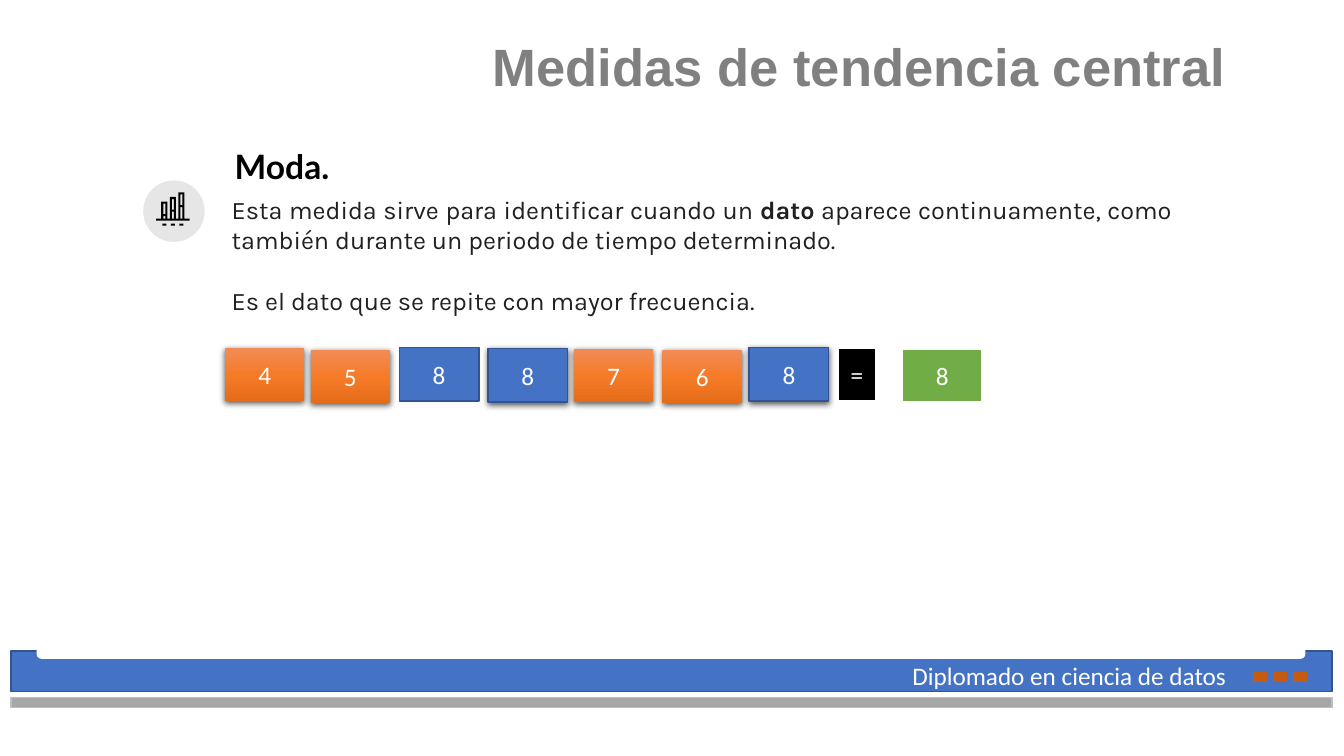
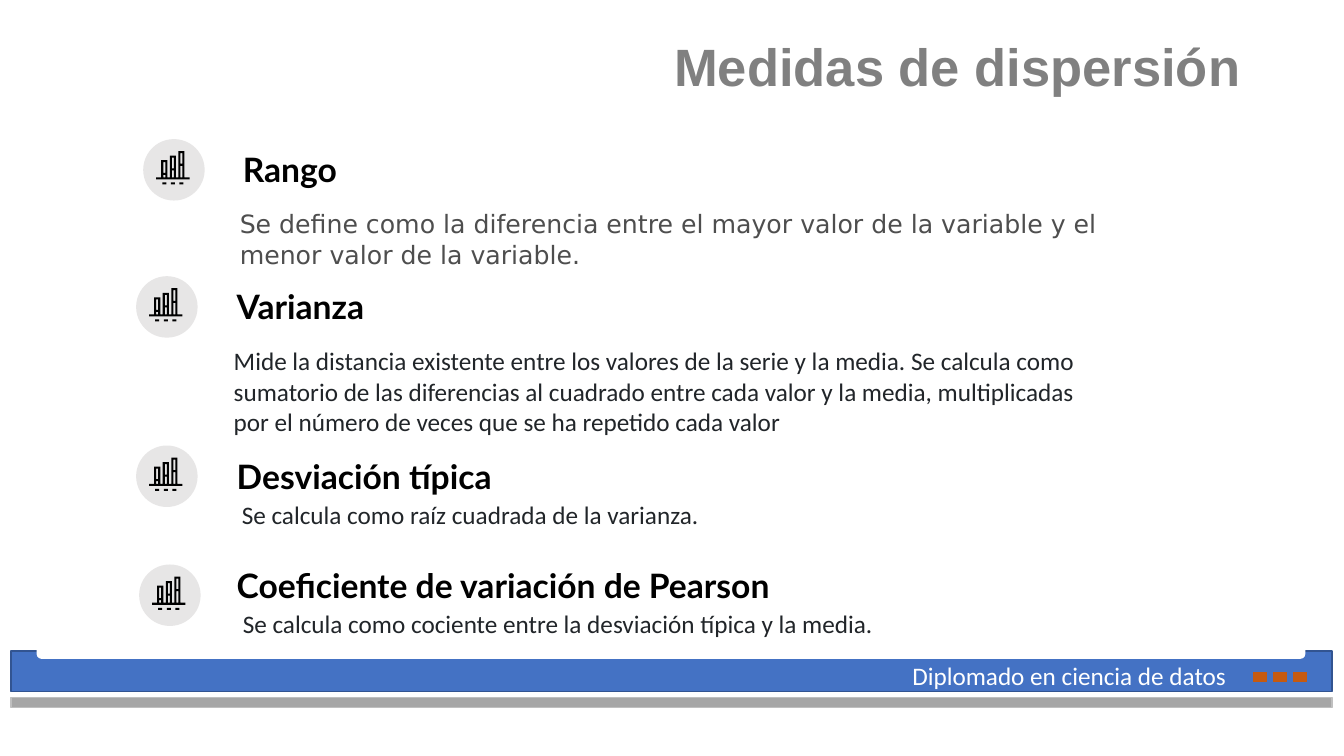
from copy import deepcopy

from pptx import Presentation, util as u
from pptx.dml.color import RGBColor
from pptx.enum import shapes as sh, text as tx
from pptx.oxml import parse_xml
from pptx.oxml.ns import nsdecls, qn

HUES = {
    "white": "FFFFFF", "black": "000000", "title": "808080",
    "blue": "4472C4", "navy": "325491", "green": "70AD47",
    "rust": "C55A11", "gray": "A6A6A6", "silver": "BFBFBF",
    "disc": "E7E6E6", "ink": "202020", "slate": "212529", "soft": "4E4E4E",
}
GLOW = ("F18C57", "F67B28", "E56C19")
LEFT, RIGHT = tx.PP_ALIGN.LEFT, tx.PP_ALIGN.RIGHT
MID, FULL = tx.PP_ALIGN.CENTER, tx.PP_ALIGN.JUSTIFY
RECT = sh.MSO_SHAPE.RECTANGLE
DISC = 0.61
TILE = (0.79, 0.53)

# left, top, digit, style, shadow
TILES = [
    (2.23, 3.45, "4", "glow", True),
    (3.08, 3.47, "5", "glow", True),
    (3.96, 3.45, "8", "blue", False),
    (4.84, 3.46, "8", "blue", True),
    (5.69, 3.46, "7", "glow", True),
    (6.57, 3.47, "6", "glow", True),
    (7.43, 3.45, "8", "blue", True),
]

# icon corner, heading corner, body corner, body height, font, hue, heading, body
TERMS = [
    ((1.42, 1.38), (2.31, 1.38), (2.28, 2.02), 0.71, "DejaVu Sans", "soft", "Rango",
     "Se define como la diferencia entre el mayor valor de la variable y el "
     "menor valor de la variable."),
    ((1.35, 2.74), (2.25, 2.74), (2.22, 3.38), 1.01, "Calibri", "slate", "Varianza",
     "Mide la distancia existente entre los valores de la serie y la media. "
     "Se calcula como sumatorio de las diferencias al cuadrado entre cada valor "
     "y la media, multiplicadas por el número de veces que se ha repetido cada valor"),
    ((1.35, 4.42), (2.25, 4.42), (2.3, 4.9), 0.4, "Calibri", "slate", "Desviación típica",
     "Se calcula como raíz cuadrada de la varianza."),
    ((1.38, 5.6), (2.25, 5.5), (2.31, 5.99), 0.4, "Calibri", "slate",
     "Coeficiente de variación de Pearson",
     "Se calcula como cociente entre la desviación típica y la media."),
]


def rgb(hue):
    return RGBColor.from_string(HUES[hue])


def style(para, size, font, hue, bold=False, align=LEFT):
    para.alignment = align
    face = para.font
    face.size, face.name, face.bold = u.Pt(size), font, bold
    face.color.rgb = rgb(hue)


def paint(shape, fill, line=None, width=1):
    shape.shadow.inherit = False
    shape.fill.solid()
    shape.fill.fore_color.rgb = rgb(fill)
    if line:
        shape.line.color.rgb = rgb(line)
        shape.line.width = u.Pt(width)
    else:
        shape.line.fill.background()


def block(home, box, fill, line=None, kind=RECT, width=1):
    shape = home.add_shape(kind, *map(u.Inches, box))
    paint(shape, fill, line, width)
    return shape


def label(home, box, words, *look, inset=0.05, **more):
    """Add a wrapped text box; words is a string or a list of run lists."""
    frame = home.add_textbox(*map(u.Inches, box)).text_frame
    frame.word_wrap = True
    frame.margin_top = frame.margin_bottom = u.Inches(inset)
    paras = [[words]] if isinstance(words, str) else words
    for i, runs in enumerate(paras):
        para = frame.add_paragraph() if i else frame.paragraphs[0]
        for run in runs:
            para.add_run().text = run
        style(para, *look, **more)
    return frame


def head(slide, spot, words, tall=0.57):
    label(slide.shapes, (*spot, 9.24, tall), words, 24, "Lato", "black",
          bold=True, align=FULL, inset=0.1)


def icon(slide, left, top):
    """Draw a disc with a small bar chart on it, in thousandths of an inch."""
    block(slide.shapes, (left, top, DISC, DISC), "disc", kind=sh.MSO_SHAPE.OVAL)
    base = 380
    rects = [(130, base, 330, 20)]
    for i in range(3):
        x, y = 180 + 85 * i, 210 - 45 * i
        rects += [
            (x, y, 60, base - y),
            (x + 20, y + 20, 20, 105),
            (x + 20, y + 145, 20, base - y - 145),
            (x + 10, 430, 40, 20),
        ]
    pen = slide.shapes.build_freeform(*rects[0][:2], scale=u.Inches(0.001))
    for i, (x, y, w, h) in enumerate(rects):
        if i:
            pen.move_to(x, y)
        pen.add_line_segments([(x + w, y), (x + w, y + h), (x, y + h)])
    paint(pen.convert_to_shape(u.Inches(left), u.Inches(top)), "black")


def glow(shape):
    """Fill with the three-stop orange gradient, top to bottom."""
    fill = shape.fill
    fill.gradient()
    fill.gradient_angle = 270
    stops = shape.element.find(".//" + qn("a:gsLst"))
    while len(stops) > 2:
        stops.remove(stops[-1])
    stops.insert(1, deepcopy(stops[0]))
    for i, (stop, code) in enumerate(zip(fill.gradient_stops, GLOW)):
        stop.position = i / 2
        stop.color.rgb = RGBColor.from_string(code)


def shade(shape):
    shape.element.spPr.find(qn("a:effectLst")).append(parse_xml(
        f'<a:outerShdw {nsdecls("a")} blurRad="57150" dist="19050" dir="5400000" '
        'algn="ctr" rotWithShape="0"><a:srgbClr val="000000">'
        '<a:alpha val="63000"/></a:srgbClr></a:outerShdw>'))


def tile(slide, box, sign, fill, line=None, width=1):
    shape = block(slide.shapes, box, fill, line, width=width)
    frame = shape.text_frame
    frame.vertical_anchor = tx.MSO_ANCHOR.MIDDLE
    frame.text = sign
    style(frame.paragraphs[0], 18, "Calibri", "white", align=MID)
    return shape


def footer(slide):
    home = slide.shapes.add_group_shape().shapes
    block(home, (0.11, 6.46, 13.1, 0.4), "blue", "navy")
    block(home, (0.37, 6.27, 12.57, 0.26), "white", "white",
          sh.MSO_SHAPE.ROUNDED_RECTANGLE)
    block(home, (0.11, 6.92, 13.1, 0.1), "gray", "silver")
    for i in range(3):
        block(home, (12.43 + 0.2 * i, 6.67, 0.13, 0.09), "rust", "rust")
    label(home, (8.95, 6.5, 3.45, 0.4), "Diplomado en ciencia de datos",
          18, "Calibri", "white")


def page(deck, words):
    """Add a slide with the shared title and footer."""
    slide = deck.slides.add_slide(deck.slide_layouts[5])
    title = slide.shapes.title
    title.left, title.top, title.width, title.height = map(
        u.Inches, (1.41, 0.4, 11, 0.6))
    frame = title.text_frame
    frame.text = words
    frame.word_wrap = True
    frame.auto_size = tx.MSO_AUTO_SIZE.NONE
    frame.vertical_anchor = tx.MSO_ANCHOR.BOTTOM
    para = frame.paragraphs[0]
    para.line_spacing = 0.7
    style(para, 37.5, "Arial", "title", bold=True, align=RIGHT)
    footer(slide)
    return slide


def center(deck):
    slide = page(deck, "Medidas de tendencia central ")
    icon(slide, 1.42, 1.79)
    head(slide, (2.23, 1.35), "Moda.", 1.47)
    body = label(slide.shapes, (2.2, 1.88, 9.52, 1.31), [
        ["Esta medida sirve para identificar cuando un ", "dato",
         " aparece continuamente, como también durante un periodo de tiempo "
         "determinado."],
        ["Es el dato que se repite con mayor frecuencia."],
    ], 18, "Karla", "ink", align=FULL)
    body.paragraphs[0].runs[1].font.bold = True
    body.paragraphs[1].space_before = u.Pt(21.6)
    for left, top, sign, kind, dark in TILES:
        box = (left, top, *TILE)
        plain = kind == "blue"
        shape = tile(slide, box, sign, "blue", "navy" if plain else None)
        if not plain:
            glow(shape)
        if dark:
            shade(shape)
    tile(slide, (8.31, 3.45, 0.38, 0.53), "=", "black", "white", 1.5)
    tile(slide, (8.95, 3.46, *TILE), "8", "green", "white", 1.5)


def spread(deck):
    slide = page(deck, "Medidas de dispersión")
    for mark, top, spot, tall, font, hue, name, words in TERMS:
        icon(slide, *mark)
        head(slide, top, name)
        label(slide.shapes, (*spot, 8.9, tall), words, 18, font, hue)


def main():
    deck = Presentation()
    deck.slide_width, deck.slide_height = u.Inches(13.33), u.Inches(7.5)
    center(deck)
    spread(deck)
    deck.save("out.pptx")


if __name__ == "__main__":
    main()
